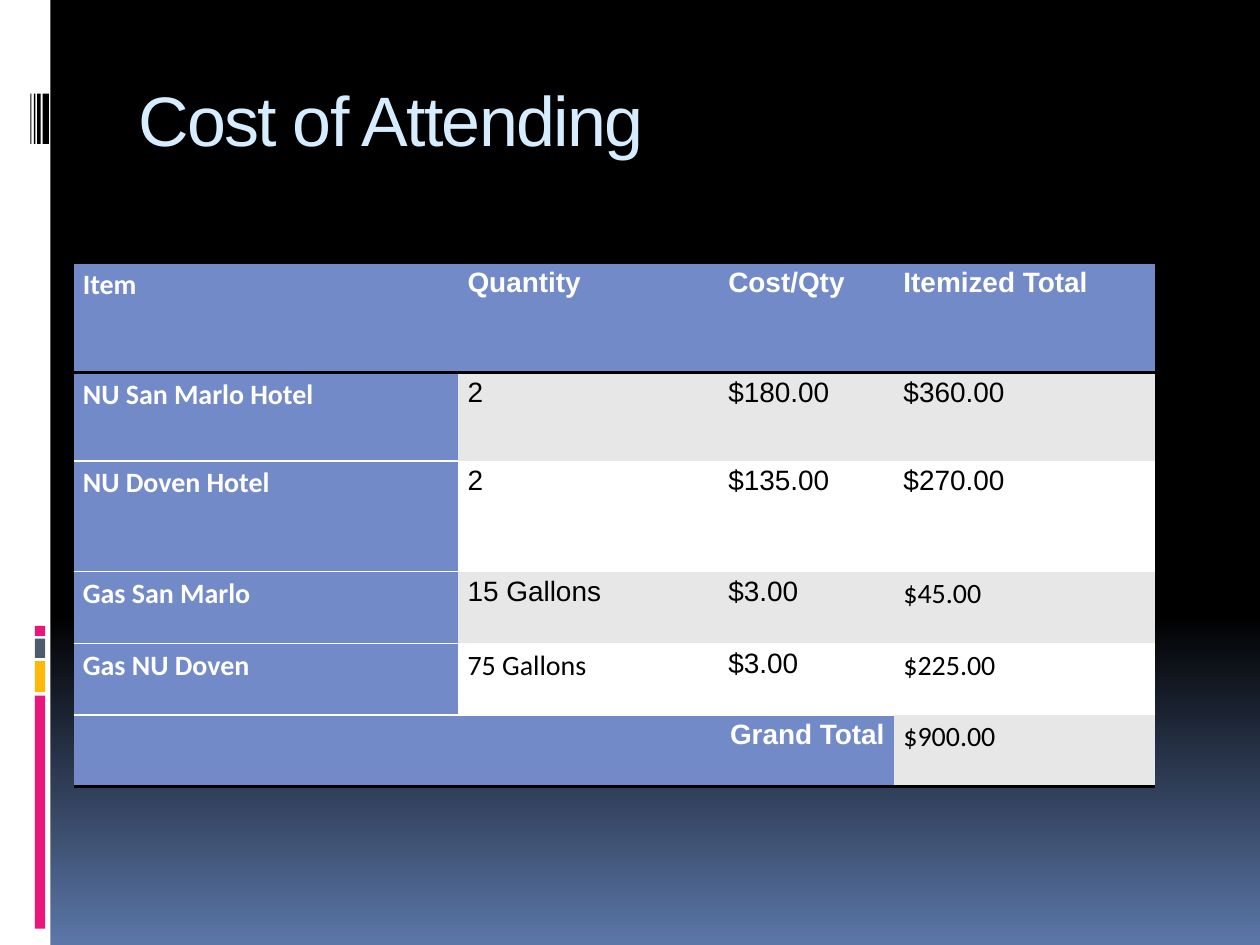
"""Build the Cost of Attending slide with its cost table."""
from lxml import etree
from pptx import Presentation
from pptx.dml.color import RGBColor
from pptx.enum.shapes import MSO_SHAPE
from pptx.enum.text import MSO_ANCHOR, PP_ALIGN
from pptx.oxml.ns import qn
from pptx.util import Pt

RECT = MSO_SHAPE.RECTANGLE
TOP = MSO_ANCHOR.TOP
LEFT, RIGHT = PP_ALIGN.LEFT, PP_ALIGN.RIGHT
NO_STYLE = "{2D5ABB26-0587-4C30-8999-92F81FD0307C}"
BLACK, WHITE, BLUE, GRAY, PINK = "000000", "FFFFFF", "738AC8", "E7E7E7", "EA157A"


def rgb(value):
    return RGBColor.from_string(value)


def add_border(cell, side, color, width):
    ln = etree.Element(qn(f"a:{side}"), w=str(Pt(width)))
    fill = etree.SubElement(ln, qn("a:solidFill"))
    etree.SubElement(fill, qn("a:srgbClr"), val=color)
    cell._tc.get_or_add_tcPr().insert(0, ln)


prs = Presentation()
prs.slide_width, prs.slide_height = Pt(720), Pt(540)
s = prs.slides.add_slide(prs.slide_layouts[6])

bg = s.background.fill
bg.gradient()
bg.gradient_angle = 270
for stop, (position, color) in zip(bg.gradient_stops, [(0.65, BLACK), (1, "5B77A8")]):
    stop.position = position
    stop.color.rgb = rgb(color)

bars = [
    (0, 0, 28.8, 540, WHITE),
    (20, 397.5, 5.9, 133.2, PINK),
    (20, 377.8, 5.9, 17.8, "FEB80A"),
    (20, 365, 5.9, 11, "4E5B6F"),
    (20, 357.7, 5.9, 5.7, PINK),
    (24.3, 53.5, 3.7, 28.8, BLACK),
    (21.2, 53.5, 2, 28.8, BLACK),
    (19.4, 53.5, 0.9, 28.8, BLACK),
    (17.4, 53.5, 0.6, 28.8, BLACK),
]
for x, y, w, h, color in bars:
    sp = s.shapes.add_shape(RECT, Pt(x), Pt(y), Pt(w), Pt(h))
    sp.shadow.inherit = False
    sp.fill.solid()
    sp.fill.fore_color.rgb = rgb(color)
    sp.line.fill.background()

tf = s.shapes.add_textbox(Pt(72), Pt(40.3), Pt(612), Pt(72)).text_frame
title_format = {"word_wrap": True, "vertical_anchor": TOP,
                "margin_left": Pt(7.2), "margin_top": Pt(3.6)}
for name, value in title_format.items():
    setattr(tf, name, value)
r = tf.paragraphs[0].add_run()
r.text = "Cost of Attending"
r.font.name, r.font.size = "Arial", Pt(40)
r.font.color.rgb = rgb("D6ECFF")
r._r.get_or_add_rPr().set("spc", "-100")

rows = [
    ["Item", "Quantity", "Cost/Qty", "Itemized Total"],
    ["NU San Marlo Hotel", "2", "$180.00", "$360.00"],
    ["NU Doven Hotel", "2", "$135.00", "$270.00"],
    ["Gas San Marlo", "15 Gallons", "$3.00", "$45.00"],
    ["Gas NU Doven", "75 Gallons", "$3.00", "$225.00"],
    ["Grand Total", "", "", "$900.00"],
]
widths = [219.8, 149, 100.1, 149.3]
heights = [63, 50.4, 63.2, 41, 41, 41]
calibri_cells = {(0, 0), (1, 0), (2, 0), (3, 0), (4, 0), (3, 3), (4, 1), (4, 3), (5, 3)}
last = len(rows) - 1
cell_format = {"margin_left": Pt(5.4), "margin_right": Pt(5.4),
               "margin_top": 0, "margin_bottom": 0, "vertical_anchor": TOP}

table = s.shapes.add_table(len(rows), len(widths), Pt(42), Pt(150),
                           Pt(sum(widths)), Pt(sum(heights))).table
table.first_row = table.horz_banding = False
table._tbl.tblPr.find(qn("a:tableStyleId")).text = NO_STYLE
for column, width in zip(table.columns, widths):
    column.width = Pt(width)
for row, height in zip(table.rows, heights):
    row.height = Pt(height)
table.cell(last, 0).merge(table.cell(last, 2))

for i, texts in enumerate(rows):
    for j, text in enumerate(texts):
        cell = table.cell(i, j)
        heading = i == 0 or j == 0 or (i == last and j < 3)
        for name, value in cell_format.items():
            setattr(cell, name, value)
        cell.fill.solid()
        cell.fill.fore_color.rgb = rgb(BLUE if heading else GRAY if i % 2 else WHITE)
        if i in (0, last):
            add_border(cell, "lnB", BLACK, 2)
        elif j == 0:
            add_border(cell, "lnB", WHITE, 1)
        if i == 0:
            add_border(cell, "lnT", BLACK, 2)
        elif heading and i > 1:
            add_border(cell, "lnT", WHITE, 1)
        if not text:
            continue
        p = cell.text_frame.paragraphs[0]
        p.line_spacing, p.space_after = 1.15, Pt(10)
        p.alignment = RIGHT if text == "Grand Total" else LEFT
        r = p.add_run()
        r.text = text
        font_format = {"name": "Calibri" if (i, j) in calibri_cells else "Arial",
                       "size": Pt(16), "bold": heading}
        for name, value in font_format.items():
            setattr(r.font, name, value)
        r.font.color.rgb = rgb(WHITE if heading else BLACK)

prs.save("out.pptx")
